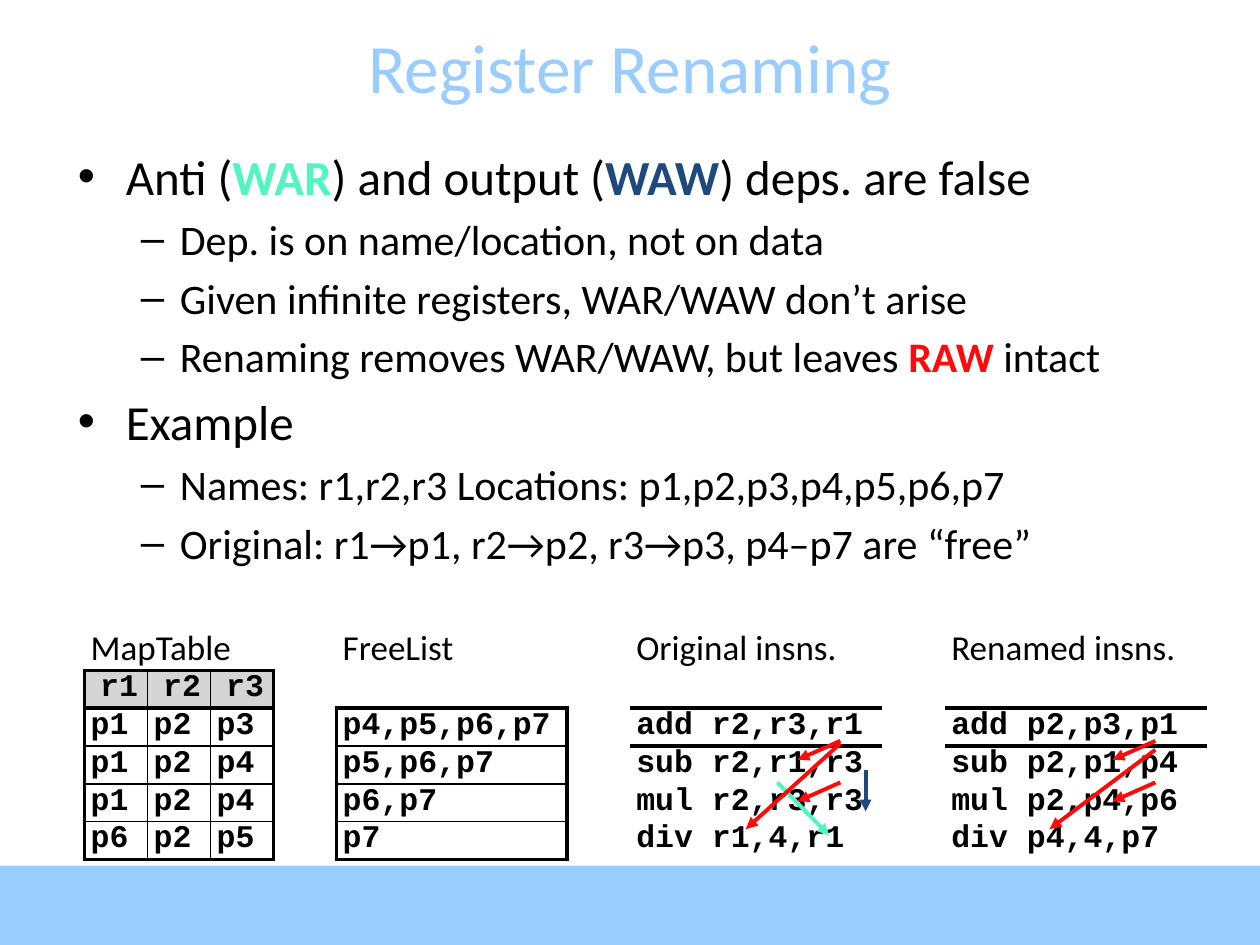
from dataclasses import dataclass
from typing import NamedTuple

from lxml import etree
from pptx import Presentation
from pptx import util as u
from pptx.dml.color import RGBColor
from pptx.enum import shapes, text
from pptx.oxml import ns


@dataclass(frozen=True)
class Theme:
    sky: str = "99CCFF"
    ink: str = "000000"
    war: str = "52F4C2"
    waw: str = "1F497D"
    raw: str = "FF0909"
    header: str = "D5D5D5"
    sans: str = "Calibri"
    mono: str = "Courier New"
    title: float = 39.6
    levels: tuple = (28, 24)
    caption: float = 20
    code: float = 18
    empty: float = 12
    thick: float = 2.25
    thin: float = 1


THEME = Theme()


class Span(NamedTuple):
    words: str
    color: str = THEME.ink
    bold: bool = False


class Bullet(NamedTuple):
    level: int
    spans: list


class Arrow(NamedTuple):
    start: tuple
    end: tuple
    color: str = THEME.raw


BULLETS = [
    Bullet(0, [Span("Anti ("), Span("WAR", THEME.war, True), Span(") and output ("),
               Span("WAW", THEME.waw, True), Span(") deps. are false")]),
    Bullet(1, [Span("Dep. is on name/location, not on data")]),
    Bullet(1, [Span("Given infinite registers, WAR/WAW don’t arise")]),
    Bullet(1, [Span("Renaming removes WAR/WAW, but leaves "),
               Span("RAW", THEME.raw, True), Span(" intact")]),
    Bullet(0, [Span("Example")]),
    Bullet(1, [Span("Names: r1,r2,r3 Locations: p1,p2,p3,p4,p5,p6,p7")]),
    Bullet(1, [Span("Original: r1→p1, r2→p2, r3→p3, p4–p7 are “free”")]),
]
INDENTS = [(0.38, 0.38, "•"), (0.81, 0.31, "–")]

COLUMNS = [0.5, 0.5, 0.5, 0.5, 1.83, 0.5, 2, 0.5, 2.08]
ROWS = [0.34] + [0.25] * 5
GRID = [
    ["MapTable", "", "", "", "FreeList", "", "Original insns.", "", "Renamed insns."],
    ["r1", "r2", "r3"] + [""] * 6,
    ["p1", "p2", "p3", "", "p4,p5,p6,p7", "", "add r2,r3,r1", "", "add p2,p3,p1"],
    ["p1", "p2", "p4", "", "p5,p6,p7", "", "sub r2,r1,r3", "", "sub p2,p1,p4"],
    ["p1", "p2", "p4", "", "p6,p7", "", "mul r2,r3,r3", "", "mul p2,p4,p6"],
    ["p6", "p2", "p5", "", "p7", "", "div r1,4,r1", "", "div p4,4,p7"],
]

ARROWS = [Arrow((x, y), (x - 0.34, y + 0.15)) for x in (6.67, 9.17) for y in (5.88, 6.21)] + [
    Arrow((6.87, 6.11), (6.87, 6.44), THEME.waw),
    Arrow((6.17, 6.21), (6.58, 6.63), THEME.war),
    Arrow((6.67, 5.9), (5.92, 6.58)),
    Arrow((9.17, 5.95), (8.33, 6.58)),
]


def add_xml(parent, tag: str, **attributes: str):
    return etree.SubElement(parent, ns.qn(tag), attributes)


def style(run, face: str, size: float, color: str = THEME.ink, bold: bool = False) -> None:
    run.font.name = face
    run.font.size = u.Pt(size)
    run.font.bold = bold
    run.font.color.rgb = RGBColor.from_string(color)


def add_band(page) -> None:
    band = page.shapes.add_shape(shapes.MSO_SHAPE.RECTANGLE, u.Inches(0), u.Inches(6.87),
                                 u.Inches(10), u.Inches(0.63))
    band.shadow.inherit = False
    band.fill.solid()
    band.fill.fore_color.rgb = RGBColor.from_string(THEME.sky)
    band.line.fill.background()


def add_title(page, words: str) -> None:
    box = page.shapes.add_textbox(u.Inches(0), u.Inches(0.21), u.Inches(10), u.Inches(0.63))
    frame = box.text_frame
    frame.word_wrap = True
    frame.vertical_anchor = text.MSO_ANCHOR.MIDDLE
    frame.text = words
    para = frame.paragraphs[0]
    para.alignment = text.PP_ALIGN.CENTER
    style(para.runs[0], THEME.sans, THEME.title, THEME.sky)


def add_bullets(page, bullets: list[Bullet]) -> None:
    box = page.shapes.add_textbox(u.Inches(0.52), u.Inches(1.11), u.Inches(9), u.Inches(5.56))
    frame = box.text_frame
    frame.word_wrap = True
    for index, bullet in enumerate(bullets):
        para = frame.add_paragraph() if index else frame.paragraphs[0]
        para.level = bullet.level
        left, hanging, mark = INDENTS[bullet.level]
        props = para._p.get_or_add_pPr()
        props.set("marL", str(u.Inches(left)))
        props.set("indent", str(-u.Inches(hanging)))
        add_xml(add_xml(props, "a:spcBef"), "a:spcPct", val="20000")
        add_xml(props, "a:buFont", typeface="Arial")
        add_xml(props, "a:buChar", char=mark)
        for span in bullet.spans:
            run = para.add_run()
            run.text = span.words
            style(run, THEME.sans, THEME.levels[bullet.level], span.color, span.bold)


def set_borders(cell, **widths: float) -> None:
    props = cell._tc.get_or_add_tcPr()
    for side in "LRTB":
        if side in widths:
            line = add_xml(props, f"a:ln{side}", w=str(u.Pt(widths[side])))
            add_xml(add_xml(line, "a:solidFill"), "a:srgbClr", val=THEME.ink)


def frame_block(table, rows: range, columns: range) -> None:
    def width(at_edge: bool) -> float:
        return THEME.thick if at_edge else THEME.thin

    for row in rows:
        for column in columns:
            set_borders(table.cell(row, column),
                        L=width(column == columns[0]), R=width(column == columns[-1]),
                        T=width(row == rows[0]), B=width(row == rows[-1]))


def fill_cell(cell, row: int, words: str) -> None:
    cell.margin_left = u.Inches(0.05)
    cell.margin_right = cell.margin_top = cell.margin_bottom = 0
    cell.text = words
    para = cell.text_frame.paragraphs[0]
    if row == 1:
        para.alignment = text.PP_ALIGN.CENTER
    if not words:
        add_xml(para._p, "a:endParaRPr", sz=str(int(THEME.empty * 100)))
    elif row == 0:
        style(para.runs[0], THEME.sans, THEME.caption)
    else:
        style(para.runs[0], THEME.mono, THEME.code, bold=True)
    if row == 1 and words:
        cell.fill.solid()
        cell.fill.fore_color.rgb = RGBColor.from_string(THEME.header)
    else:
        cell.fill.background()


def add_rename_table(page) -> None:
    table = page.shapes.add_table(len(ROWS), len(COLUMNS), u.Inches(0.67), u.Inches(4.98),
                                  u.Inches(sum(COLUMNS)), u.Inches(sum(ROWS))).table
    table.first_row = table.horz_banding = False
    table._tbl.tblPr.find(ns.qn("a:tableStyleId")).text = "{2D5ABB26-0587-4C30-8999-92F81FD0307C}"
    for column, width in zip(table.columns, COLUMNS):
        column.width = u.Inches(width)
    for row, height in zip(table.rows, ROWS):
        row.height = u.Inches(height)
    table.cell(0, 0).merge(table.cell(0, 2))
    frame_block(table, range(1, 2), range(3))
    frame_block(table, range(2, 6), range(3))
    frame_block(table, range(2, 6), range(4, 5))
    for column in (6, 8):
        set_borders(table.cell(2, column), T=THEME.thick)
    for row, values in enumerate(GRID):
        for column, words in enumerate(values):
            fill_cell(table.cell(row, column), row, words)


def add_arrow(page, arrow: Arrow) -> None:
    ends = [u.Inches(value) for value in arrow.start + arrow.end]
    line = page.shapes.add_connector(shapes.MSO_CONNECTOR.STRAIGHT, *ends)
    line.line.width = u.Pt(THEME.thick)
    line.line.color.rgb = RGBColor.from_string(arrow.color)
    add_xml(line.line._get_or_add_ln(), "a:tailEnd", type="triangle")
    add_xml(line._element.spPr, "a:effectLst")


def main() -> None:
    deck = Presentation()
    deck.slide_width, deck.slide_height = u.Inches(10), u.Inches(7.5)
    page = deck.slides.add_slide(deck.slide_layouts[6])
    add_band(page)
    add_title(page, "Register Renaming")
    add_bullets(page, BULLETS)
    add_rename_table(page)
    for arrow in ARROWS:
        add_arrow(page, arrow)
    deck.save("out.pptx")


if __name__ == "__main__":
    main()
